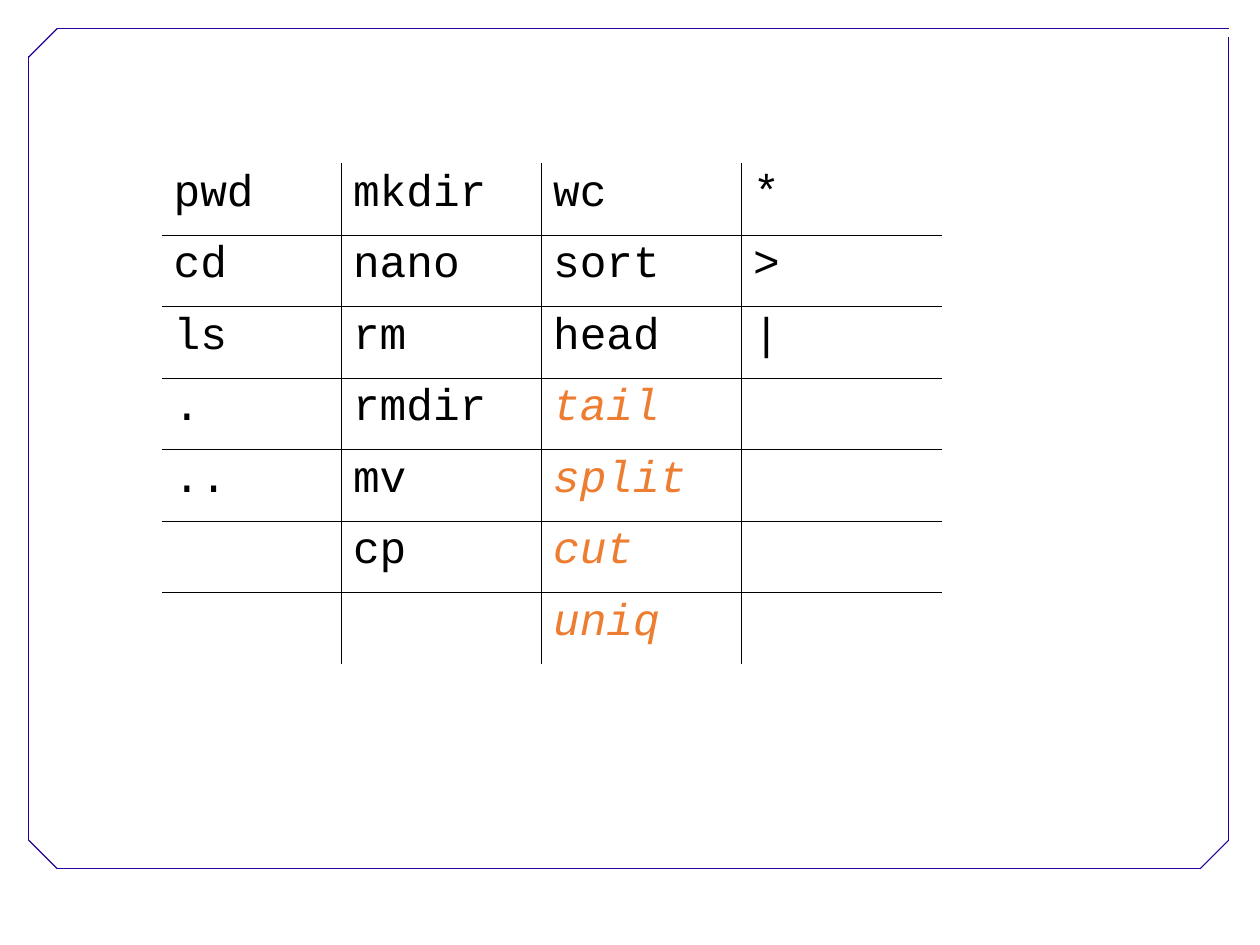
import pptx
import pptx.dml.color
import pptx.enum.shapes
import pptx.oxml
import pptx.oxml.ns
import pptx.util

BLACK = pptx.dml.color.RGBColor(0x00, 0x00, 0x00)
ORANGE = pptx.dml.color.RGBColor(0xED, 0x7D, 0x31)
VIOLET = pptx.dml.color.RGBColor(0x28, 0x00, 0x99)

CM_PER_INCH = 2.54
FRAME_LINES = [
    ((0.5, 7.6), (10.5, 7.6)),
    ((0.25, 7.35), (0.25, 0.49)),
    ((0.5, 0.25), (10.75, 0.25)),
    ((10.75, 7.35), (10.75, 0.32)),
    ((0.25, 0.5), (0.5, 0.25)),
    ((10.5, 7.6), (10.75, 7.35)),
    ((0.25, 7.35), (0.5, 7.6)),
]
COMMANDS = [
    ["pwd", "mkdir", "wc", "*"],
    ["cd", "nano", "sort", ">"],
    ["ls", "rm", "head", "|"],
    [".", "rmdir", "tail", ""],
    ["..", "mv", "split", ""],
    ["", "cp", "cut", ""],
    ["", "", "uniq", ""],
]
NEW_COMMANDS = {"tail", "split", "cut", "uniq"}
COLUMN_WIDTHS = [1.57, 1.75, 1.75, 1.75]


def add_frame_line(page, start, end):
    line = page.shapes.add_connector(
        pptx.enum.shapes.MSO_CONNECTOR.STRAIGHT,
        *(pptx.util.Inches(value) for value in start + end))
    line.line.color.rgb = VIOLET
    line.line.width = pptx.util.Pt(0.75)
    line._element.spPr.append(pptx.oxml.parse_xml(
        f'<a:effectLst {pptx.oxml.ns.nsdecls("a")}/>'))


def set_borders(cell, visible):
    """Draw a thin line on each side marked visible, and none on the others."""
    properties = cell._tc.get_or_add_tcPr()
    for position, (side, shown) in enumerate(visible.items()):
        paint = (f'<a:solidFill><a:srgbClr val="{BLACK}"/></a:solidFill>'
                 if shown else '<a:noFill/>')
        properties.insert(position, pptx.oxml.parse_xml(
            f'<a:ln{side} {pptx.oxml.ns.nsdecls("a")} '
            f'w="{pptx.util.Pt(0.45)}">{paint}</a:ln{side}>'))


def write_command(cell, command):
    para = cell.text_frame.paragraphs[0]
    para.line_spacing = 0.93
    para.space_after = pptx.util.Pt(14.3)
    span = para.add_run()
    span.text = command
    is_new = command in NEW_COMMANDS
    style = {"name": "Courier New", "size": pptx.util.Pt(28), "italic": is_new}
    for name, value in style.items():
        setattr(span.font, name, value)
    span.font.color.rgb = ORANGE if is_new else BLACK


def add_command_table(page):
    last_row, last_column = len(COMMANDS) - 1, len(COLUMN_WIDTHS) - 1
    table = page.shapes.add_table(
        len(COMMANDS), len(COLUMN_WIDTHS),
        pptx.util.Inches(1.42), pptx.util.Inches(1.43),
        pptx.util.Inches(sum(COLUMN_WIDTHS)), pptx.util.Inches(4.38)).table
    table.first_row = table.horz_banding = False
    for column, width in zip(table.columns, COLUMN_WIDTHS):
        column.width = pptx.util.Inches(width)
    for i, commands in enumerate(COMMANDS):
        for j, command in enumerate(commands):
            cell = table.cell(i, j)
            cell.fill.background()
            set_borders(cell, {"L": j > 0, "R": j < last_column,
                               "T": i > 0, "B": i < last_row})
            if command:
                write_command(cell, command)


def main():
    deck = pptx.Presentation()
    deck.slide_width = pptx.util.Inches(28 / CM_PER_INCH)
    deck.slide_height = pptx.util.Inches(21 / CM_PER_INCH)
    page = deck.slides.add_slide(deck.slide_layouts[6])
    for start, end in FRAME_LINES:
        add_frame_line(page, start, end)
    add_command_table(page)
    deck.save("out.pptx")


if __name__ == "__main__":
    main()
